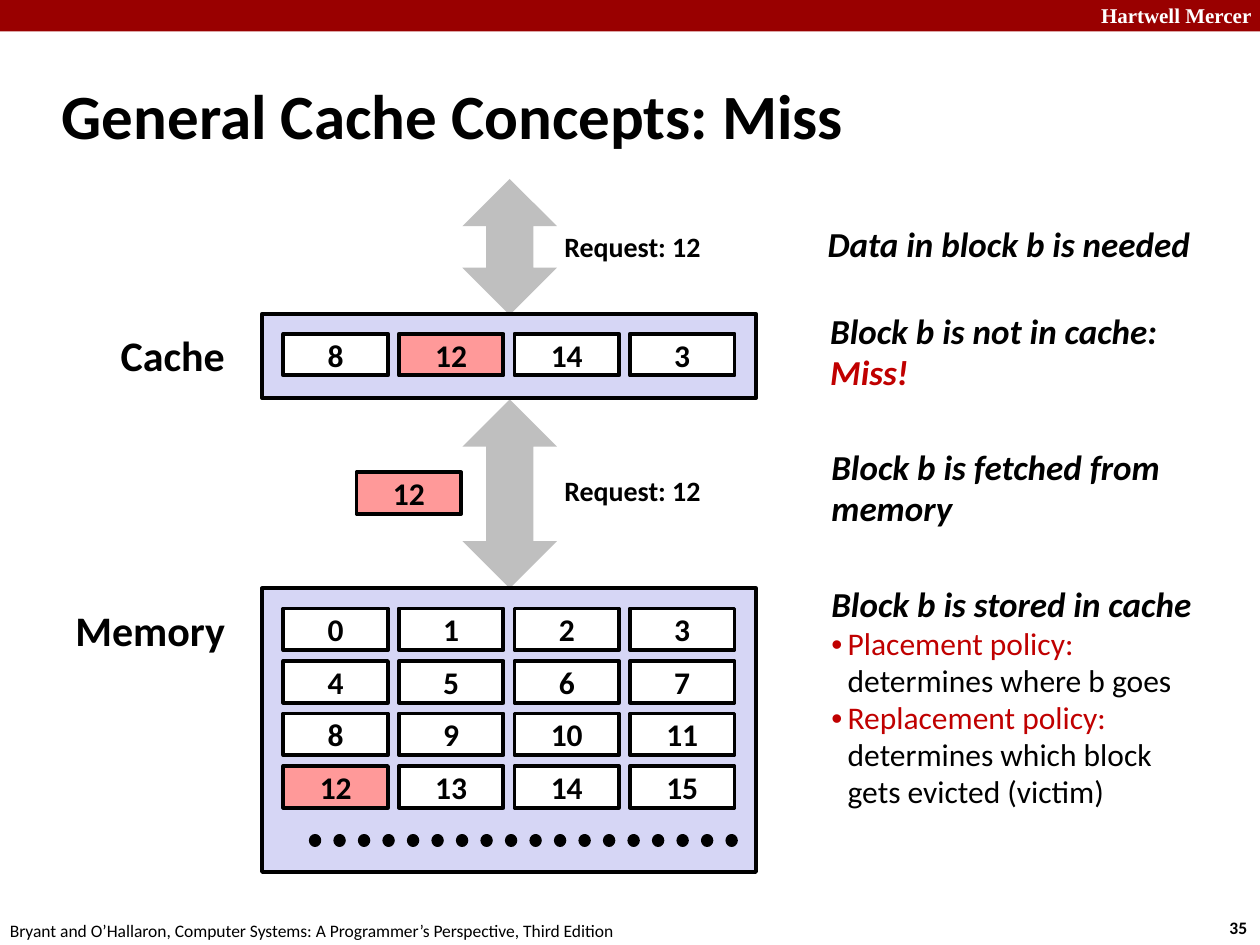
from lxml import etree
from pptx import Presentation
from pptx.dml.color import RGBColor
from pptx.enum import dml, shapes, text
from pptx.oxml import ns
from pptx.util import Inches, Pt

BLACK, WHITE, RED = "000000", "FFFFFF", "C00000"
PANEL, PINK, GRAY, BANNER = "D6D6F5", "FF9999", "BFBFBF", "990000"
LEFT, CENTER = text.PP_ALIGN.LEFT, text.PP_ALIGN.CENTER
TOP, MIDDLE = text.MSO_ANCHOR.TOP, text.MSO_ANCHOR.MIDDLE

TITLE = "General Cache Concepts: Miss"
CACHE_BLOCKS = [8, 12, 14, 3]
MEMORY_BLOCKS = list(range(16))
REQUESTED = 12
COLUMNS = 4
BLOCK_WIDTH, BLOCK_HEIGHT = 0.83, 0.33
COLUMN_STEP, ROW_STEP = 2.75 / 3, 1.25 / 3
BLOCKS_LEFT = 2.25

PANELS = [(2.08, 4.67, 3.92, 2.25), (2.08, 2.49, 3.92, 0.67)]
ARROWS = [(3.67, 1.42, 0.75, 1.08), (3.67, 3.17, 0.75, 1.5)]
LABELS = [
    ("Cache", (0.86, 2.57, 1.04, 0.5), dict(size=24, bold=True)),
    ("Memory", (0.5, 4.75, 1.4, 0.5), dict(size=24, bold=True)),
    ("Request: 12", (4.37, 1.77, 1.3, 0.37), dict(size=16, bold=True, align=CENTER)),
    ("Request: 12", (4.37, 3.71, 1.3, 0.37), dict(size=16, bold=True, align=CENTER)),
    ("Hartwell Mercer", (8.64, -0.03, 1.43, 0.3),
     dict(size=12, bold=True, color=WHITE, font="Times New Roman", wrap=True)),
    ("35", (9.66, 7.23, 0.37, 0.27), dict(size=10, bold=True)),
    ("Bryant and O’Hallaron, Computer Systems: A Programmer’s Perspective, Third Edition",
     (-0.02, 7.25, 5.08, 0.27), dict(size=10)),
]
STEPS = [
    ((6.47, 1.73, 3.09, 0.43), [("Data in block b is needed", BLACK)], []),
    ((6.49, 2.42, 2.81, 0.76), [("Block b is not in cache:", BLACK), ("Miss!", RED)], []),
    ((6.5, 3.5, 2.83, 0.76), [("Block b is fetched from", BLACK), ("memory", BLACK)], []),
    ((6.5, 4.58, 3.07, 1.92), [("Block b is stored in cache", BLACK)], [
        ("Placement policy:", ["determines where b goes"]),
        ("Replacement policy:", ["determines which block", "gets evicted (victim)"]),
    ]),
]


def rgb(value):
    return RGBColor.from_string(value)


def write(para, words, size=18, color=BLACK, bold=False, italic=False,
          font="Calibri", align=LEFT, spacing=None):
    para.alignment = align
    if spacing:
        para.line_spacing = spacing
    span = para.add_run()
    span.text = words
    span.font.name = font
    span.font.size = Pt(size)
    span.font.bold = bold
    span.font.italic = italic
    span.font.color.rgb = rgb(color)


def add_box(page, place, anchor=TOP, wrap=False):
    box = page.shapes.add_textbox(*map(Inches, place))
    box.text_frame.word_wrap = wrap
    box.text_frame.vertical_anchor = anchor
    return box.text_frame


def add_filled(page, place, fill, kind=shapes.MSO_SHAPE.RECTANGLE, outlined=False):
    shape = page.shapes.add_shape(kind, *map(Inches, place))
    shape.shadow.inherit = False
    shape.fill.solid()
    shape.fill.fore_color.rgb = rgb(fill)
    if outlined:
        shape.line.color.rgb = rgb(BLACK)
        shape.line.width = Pt(2.25)
    else:
        shape.line.fill.background()
    return shape


def add_block(page, number, left, top):
    fill = PINK if number == REQUESTED else WHITE
    place = (left, top, BLOCK_WIDTH, BLOCK_HEIGHT)
    frame = add_filled(page, place, fill, outlined=True).text_frame
    frame.vertical_anchor = MIDDLE
    write(frame.paragraphs[0], str(number), bold=True, align=CENTER)


def add_grid(page, numbers, top):
    for index, number in enumerate(numbers):
        row, column = divmod(index, COLUMNS)
        add_block(page, number, BLOCKS_LEFT + column * COLUMN_STEP, top + row * ROW_STEP)


def add_dots(page):
    dots = page.shapes.add_connector(
        shapes.MSO_CONNECTOR.STRAIGHT, *map(Inches, (2.5, 6.67, 5.83, 6.67)))
    dots.line.color.rgb = rgb(BLACK)
    dots.line.width = Pt(7)
    dots.line.dash_style = dml.MSO_LINE.ROUND_DOT
    properties = dots._element.spPr
    properties.find(ns.qn("a:ln")).set("cap", "rnd")
    etree.SubElement(properties, ns.qn("a:effectLst"))


def add_bullet(para):
    properties = para._p.get_or_add_pPr()
    properties.set("marL", str(Inches(0.13)))
    properties.set("indent", str(-Inches(0.13)))
    etree.SubElement(properties, ns.qn("a:buFont"), typeface="Arial")
    etree.SubElement(properties, ns.qn("a:buChar"), char="•")


def add_step(page, place, headings, policies):
    frame = add_box(page, place, anchor=MIDDLE)
    for index, (words, color) in enumerate(headings):
        para = frame.add_paragraph() if index else frame.paragraphs[0]
        write(para, words, size=20, color=color, bold=True, italic=True, spacing=0.98)
    for policy, lines in policies:
        para = frame.add_paragraph()
        write(para, policy, color=RED, spacing=0.98)
        for line in lines:
            para.add_line_break()
            write(para, line)
        add_bullet(para)


def add_title(page):
    title = page.shapes.title
    title.left, title.top, title.width, title.height = map(Inches, (0.39, 0.49, 8.3, 0.83))
    title.text_frame.vertical_anchor = MIDDLE
    title.text_frame.auto_size = text.MSO_AUTO_SIZE.NONE
    write(title.text_frame.paragraphs[0], TITLE, size=36, bold=True)


def main():
    deck = Presentation()
    deck.slide_width, deck.slide_height = Inches(10), Inches(7.5)
    page = deck.slides.add_slide(deck.slide_layouts[5])
    add_title(page)
    add_filled(page, (0, 0, 10, 0.25), BANNER)
    for place in ARROWS:
        add_filled(page, place, GRAY, shapes.MSO_SHAPE.UP_DOWN_ARROW)
    for place in PANELS:
        add_filled(page, place, PANEL, outlined=True)
    add_grid(page, MEMORY_BLOCKS, 4.83)
    add_dots(page)
    add_grid(page, CACHE_BLOCKS, 2.65)
    add_block(page, REQUESTED, 2.83, 3.75)
    for words, place, style in LABELS:
        frame = add_box(page, place, wrap=style.pop("wrap", False))
        write(frame.paragraphs[0], words, **style)
    for place, headings, policies in STEPS:
        add_step(page, place, headings, policies)
    deck.save("out.pptx")


if __name__ == "__main__":
    main()
